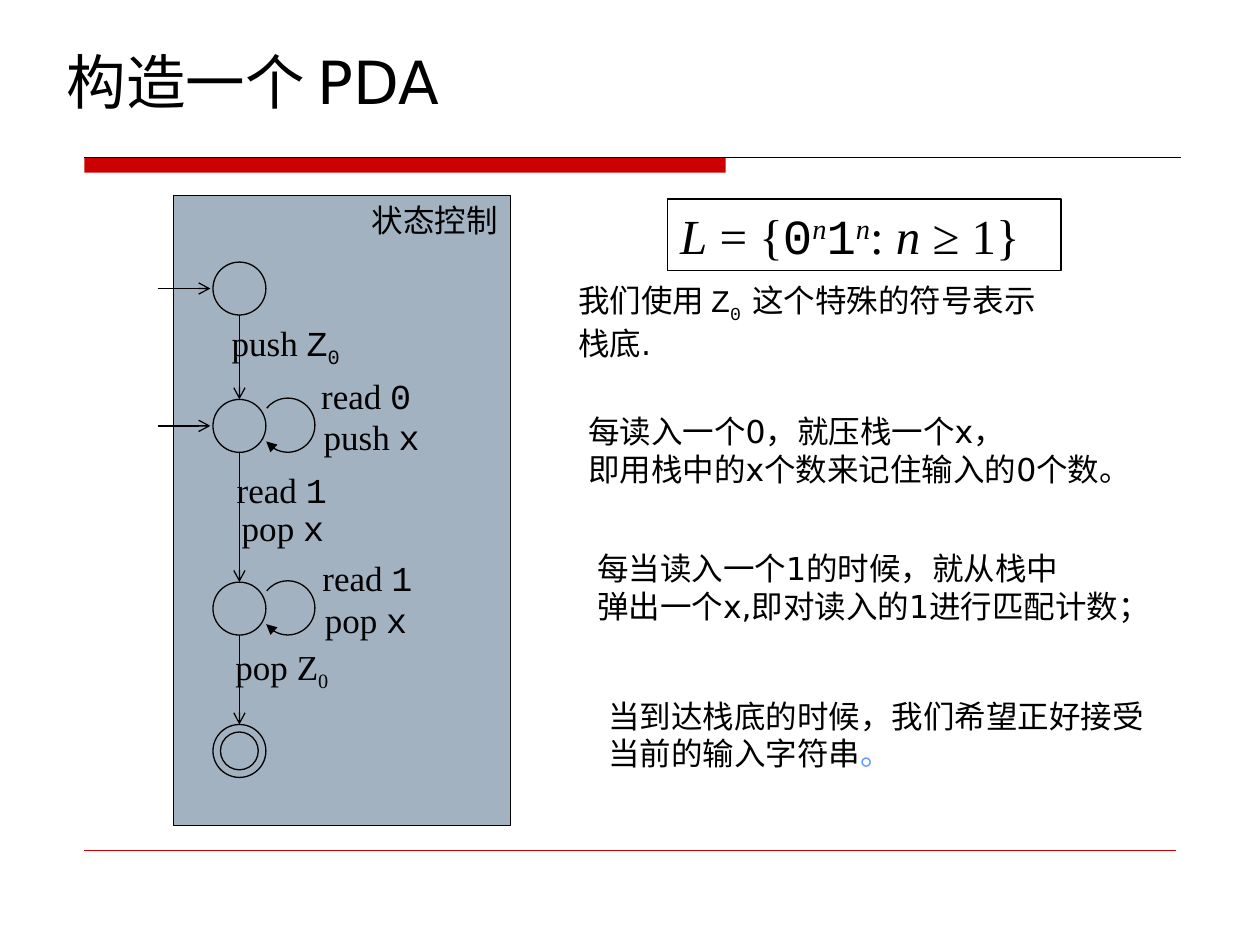
"""Build a slide on constructing a pushdown automaton."""
from dataclasses import dataclass

from lxml.etree import SubElement
from pptx import Presentation
from pptx.dml.color import RGBColor
from pptx.enum.shapes import MSO_CONNECTOR as CONN, MSO_SHAPE as SHAPE
from pptx.enum.text import MSO_ANCHOR as ANCHOR, PP_ALIGN as ALIGN
from pptx.oxml.ns import qn
from pptx.util import Inches, Pt


@dataclass(frozen=True)
class Theme:
    ink: str = "000000"
    red: str = "CC0000"
    panel: str = "A3B2C1"
    accent: str = "6699FF"
    sans: str = "DejaVu Sans"
    serif: str = "Times New Roman"
    mono: str = "Courier New"
    title: int = 34
    formula: int = 28
    label: int = 20
    body: int = 18
    stroke: float = 0.75


T = Theme()
STATE = 0.42
AXIS = 1.9
STATE_TOPS = (2.08, 3.17, 4.62, 5.75)

MONO = {"font": T.mono}
ITALIC = {"italic": True}
POWER = {"italic": True, "base": 30}
SUB = {"base": -25}


def write(tf, paragraphs, size=T.body, font=T.sans, align=ALIGN.LEFT, anchor=ANCHOR.TOP):
    """Fill a text frame; each paragraph is a list of (text, format) runs."""
    tf.word_wrap = True
    tf.vertical_anchor = anchor
    tf.margin_left = tf.margin_right = Inches(0.1)
    tf.margin_top = tf.margin_bottom = Inches(0.05)
    for i, runs in enumerate(paragraphs):
        p = tf.add_paragraph() if i else tf.paragraphs[0]
        p.alignment = align
        for text, fmt in runs:
            r = p.add_run()
            r.text = text
            r.font.size = Pt(size)
            r.font.name = fmt.get("font", font)
            r.font.italic = fmt.get("italic", False)
            r.font.color.rgb = RGBColor.from_string(fmt.get("color", T.ink))
            if "base" in fmt:
                r.font._element.set("baseline", str(fmt["base"] * 1000))


def add_text(s, box, paragraphs, **fmt):
    """Add a text box."""
    sp = s.shapes.add_textbox(*map(Inches, box))
    write(sp.text_frame, paragraphs, **fmt)


def add_shape(s, kind, box, fill=None, line=T.ink):
    """Add a preset shape with a flat fill and a thin outline."""
    sp = s.shapes.add_shape(kind, *map(Inches, box))
    sp.shadow.inherit = False
    if fill:
        sp.fill.solid()
        sp.fill.fore_color.rgb = RGBColor.from_string(fill)
    else:
        sp.fill.background()
    if line:
        sp.line.color.rgb = RGBColor.from_string(line)
        sp.line.width = Pt(T.stroke)
    else:
        sp.line.fill.background()
    return sp


def add_head(sp, kind):
    """Put an arrowhead at the end of a line."""
    SubElement(sp.line._get_or_add_ln(), qn("a:tailEnd"), type=kind)


def add_line(s, start, end, color=T.ink, width=T.stroke, head=None):
    """Add a straight connector."""
    c = s.shapes.add_connector(CONN.STRAIGHT, *map(Inches, (*start, *end)))
    c.line.color.rgb = RGBColor.from_string(color)
    c.line.width = Pt(width)
    if head:
        add_head(c, head)
    SubElement(c._element.spPr, qn("a:effectLst"))


def add_loop(s, left, top):
    """Add a clockwise self-transition arc."""
    sp = add_shape(s, SHAPE.ARC, (left, top, 0.43, 0.43))
    for i, degrees in enumerate((219, 143)):
        sp.adjustments[i] = degrees * 0.6
    add_head(sp, "triangle")


def add_frame(s):
    """Add the title and the rules above and below the content."""
    title = s.shapes.title
    title.left, title.top, title.width, title.height = map(Inches, (0.43, 0.28, 9.14, 0.72))
    write(title.text_frame, [[("构造一个 PDA", {})]], size=T.title, anchor=ANCHOR.MIDDLE)
    add_shape(s, SHAPE.RECTANGLE, (0.67, 1.25, 5.09, 0.12), fill=T.red, line=None)
    add_line(s, (0.67, 1.25), (9.37, 1.25))
    add_line(s, (0.67, 6.75), (9.33, 6.75), color=T.red, width=0.25)


def add_automaton(s):
    """Add the state control panel with its states and transitions."""
    panel = add_shape(s, SHAPE.RECTANGLE, (1.38, 1.55, 2.67, 5), fill=T.panel)
    write(panel.text_frame, [[("状态控制", {})]], align=ALIGN.RIGHT)
    for top in STATE_TOPS:
        add_shape(s, SHAPE.OVAL, (AXIS - STATE / 2, top, STATE, STATE))
    add_shape(s, SHAPE.OVAL, (AXIS - 0.15, STATE_TOPS[-1] + 0.06, 0.3, 0.3))
    for top, below in zip(STATE_TOPS, STATE_TOPS[1:]):
        add_line(s, (AXIS, top + STATE), (AXIS, below), head="arrow")
    for top in STATE_TOPS[:2]:
        y = top + STATE / 2
        add_line(s, (1.25, y), (1.67, y), head="arrow")
    for top in STATE_TOPS[1:3]:
        add_loop(s, 2.07, top - 0.01)
    labels = (
        (1.74, 2.5, [("push ", {}), ("Z", MONO), ("0", MONO | SUB)]),
        (2.45, 2.92, [("read ", {}), ("0", MONO)]),
        (2.47, 3.25, [("push ", {}), ("x", MONO)]),
        (1.78, 3.67, [("read ", {}), ("1", MONO)]),
        (1.82, 3.97, [("pop ", {}), ("x", MONO)]),
        (2.46, 4.37, [("read ", {}), ("1", MONO)]),
        (2.48, 4.7, [("pop ", {}), ("x", MONO)]),
        (1.77, 5.07, [("pop Z", {}), ("0", SUB)]),
    )
    for left, top, runs in labels:
        add_text(s, (left, top, 1.18, 0.44), [runs], size=T.label, font=T.serif)


def add_explanation(s):
    """Add the language definition and the notes on how it is accepted."""
    formula = add_shape(s, SHAPE.RECTANGLE, (5.3, 1.58, 3.12, 0.57))
    write(formula.text_frame, [[
        ("L", ITALIC), (" = {", {}), ("0", MONO), ("n", POWER), ("1", MONO),
        ("n", POWER), (": ", {}), ("n", ITALIC), (" ≥ 1}", {}),
    ]], size=T.formula, font=T.serif)
    notes = (
        ((4.49, 2.18, 4.01, 0.74), [
            [("我们使用 Z", MONO), ("0 ", MONO | SUB), ("这个特殊的符号表示", {})],
            [("栈底.", {})]]),
        ((4.57, 3.22, 4.7, 0.7), [
            [("每读入一个0，就压栈一个x，", {})],
            [("即用栈中的x个数来记住输入的0个数。", {})]]),
        ((4.64, 4.31, 4.77, 0.7), [
            [("每当读入一个1的时候，就从栈中", {})],
            [("弹出一个x,即对读入的1进行匹配计数；", {})]]),
        ((4.73, 5.48, 4.45, 0.7), [
            [("当到达栈底的时候，我们希望正好接受", {})],
            [("当前的输入字符串", {}), ("。", {"color": T.accent})]]),
    )
    for box, paragraphs in notes:
        add_text(s, box, paragraphs)


def main():
    """Build and save the slide."""
    prs = Presentation()
    prs.slide_width, prs.slide_height = Inches(10), Inches(7.5)
    s = prs.slides.add_slide(prs.slide_layouts[5])
    add_frame(s)
    add_automaton(s)
    add_explanation(s)
    prs.save("out.pptx")


if __name__ == "__main__":
    main()
